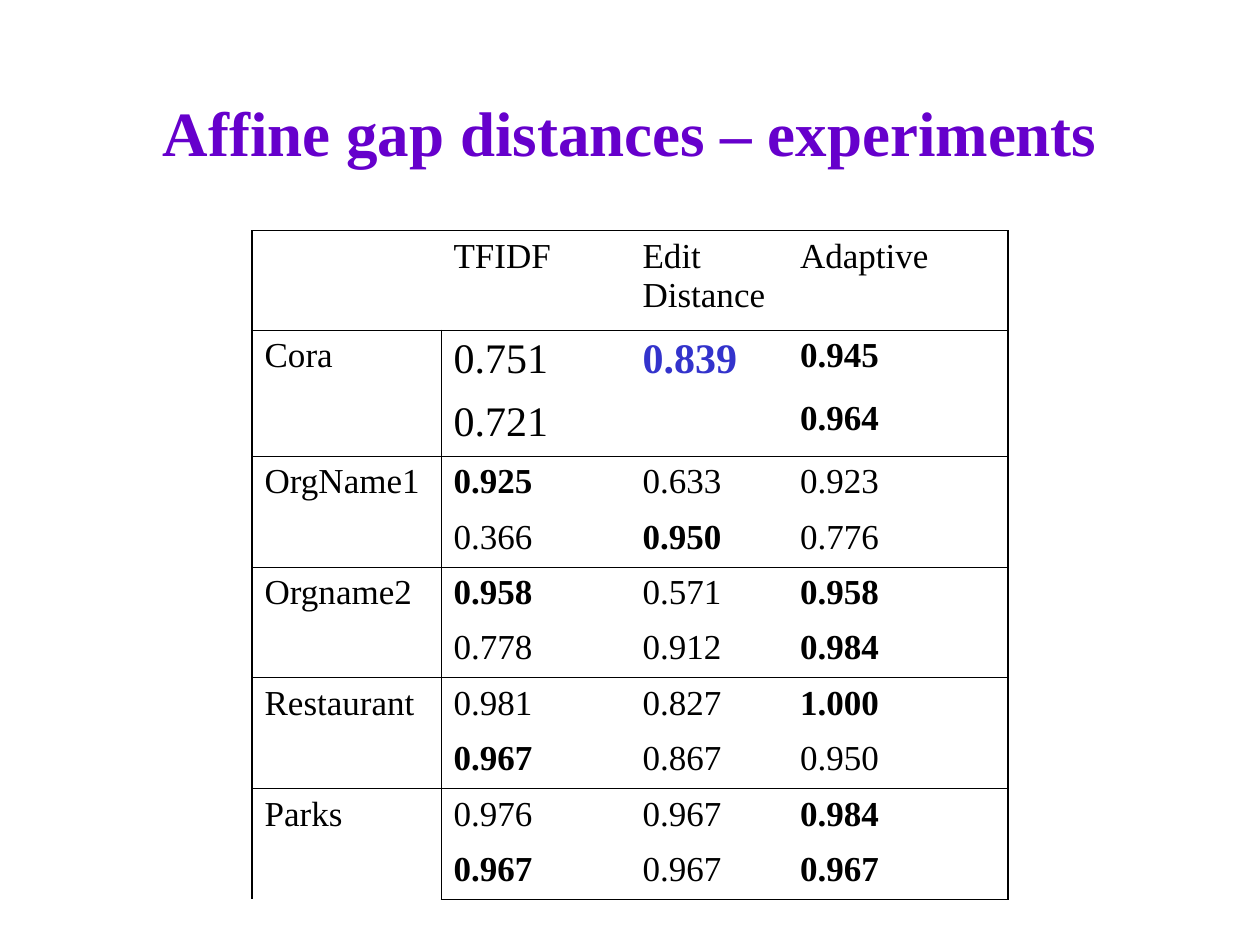
from lxml import etree
from pptx import Presentation
from pptx.dml.color import RGBColor
from pptx.enum import text
from pptx.oxml import ns
from pptx.util import Inches, Pt

COLORS = {"title": "6600CC", "text": "000000", "accent": "3333CC", "border": "000000"}
FONT = "Times New Roman"
THIN, THICK = 0.45, 1.08
COLUMN_WIDTHS = [1.5, 1.5, 1.25, 1.75]
ROW_HEIGHTS = [0.79, 0.5, 0.5] + [0.44] * 8
HEADERS = ["", "TFIDF", "Edit Distance", "Adaptive"]
DATASETS = {
    "Cora": ["0.751 0.839 0.945", "0.721 - 0.964"],
    "OrgName1": ["0.925 0.633 0.923", "0.366 0.950 0.776"],
    "Orgname2": ["0.958 0.571 0.958", "0.778 0.912 0.984"],
    "Restaurant": ["0.981 0.827 1.000", "0.967 0.867 0.950"],
    "Parks": ["0.976 0.967 0.984", "0.967 0.967 0.967"],
}
BOLD = {(1, 2), (1, 3), (2, 3), (3, 1), (4, 2), (5, 1), (5, 3), (6, 3),
        (7, 3), (8, 1), (9, 3), (10, 1), (10, 3)}
LARGE = {(1, 1), (1, 2), (2, 1)}


def style_font(font, size, color, bold):
    font.name = FONT
    font.size = Pt(size)
    font.bold = bold
    font.color.rgb = RGBColor.from_string(COLORS[color])


def set_borders(cell, widths):
    properties = cell._tc.get_or_add_tcPr()
    for position, (side, width) in enumerate(zip("LRTB", widths)):
        line = etree.Element(ns.qn(f"a:ln{side}"), w=str(int(Pt(width))))
        if width:
            fill = etree.SubElement(line, ns.qn("a:solidFill"))
            etree.SubElement(fill, ns.qn("a:srgbClr"), val=COLORS["border"])
        else:
            etree.SubElement(line, ns.qn("a:noFill"))
        properties.insert(position, line)


presentation = Presentation()
presentation.slide_width = Inches(10)
presentation.slide_height = Inches(7.5)
slide = presentation.slides.add_slide(presentation.slide_layouts[5])

title = slide.shapes.title
title.left, title.top, title.width, title.height = map(Inches, (0.75, 0.42, 8.5, 1.25))
title.text_frame.text = "Affine gap distances – experiments"
title.text_frame.vertical_anchor = text.MSO_ANCHOR.MIDDLE
title.text_frame.paragraphs[0].alignment = text.PP_ALIGN.CENTER
style_font(title.text_frame.paragraphs[0].runs[0].font, 36, "title", True)

rows = [HEADERS]
for name, (upper, lower) in DATASETS.items():
    rows += [[name] + upper.split(), [""] + lower.replace("-", "").split(" ")]

frame = slide.shapes.add_table(
    len(rows), len(HEADERS), Inches(2), Inches(1.83),
    Inches(sum(COLUMN_WIDTHS)), Inches(sum(ROW_HEIGHTS)))
table = frame.table
table.first_row = table.horz_banding = False
for column, width in zip(table.columns, COLUMN_WIDTHS):
    column.width = Inches(width)
for row, height in zip(table.rows, ROW_HEIGHTS):
    row.height = Inches(height)

last_row, last_column = len(rows) - 1, len(HEADERS) - 1
for r, values in enumerate(rows):
    for c, value in enumerate(values):
        cell = table.cell(r, c)
        cell.fill.background()
        cell.text_frame.text = value
        size = 24 if (r, c) in LARGE else 20
        color = "accent" if (r, c) == (1, 2) else "text"
        paragraph = cell.text_frame.paragraphs[0]
        style_font(paragraph.font, size, color, (r, c) in BOLD)
        for run in paragraph.runs:
            style_font(run.font, size, color, (r, c) in BOLD)
        left = THICK if c == 0 else THIN if c == 1 and r else 0
        right = THICK if c == last_column else THIN if c == 0 and r else 0
        top = THIN if r == 0 or r % 2 else 0
        bottom = THICK if r == last_row else THIN if r % 2 == 0 else 0
        set_borders(cell, (left, right, top, bottom))

for r in range(1, len(rows), 2):
    table.cell(r, 0).merge(table.cell(r + 1, 0))

presentation.save("out.pptx")
